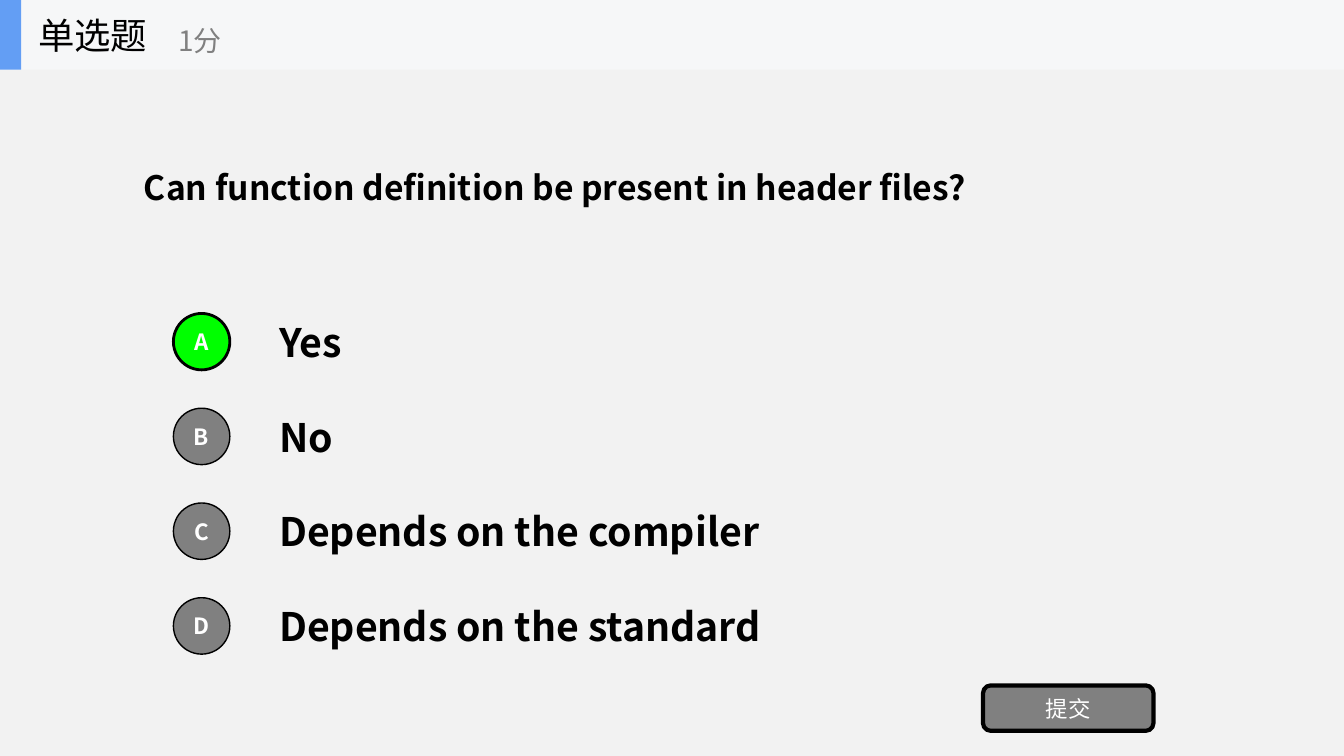
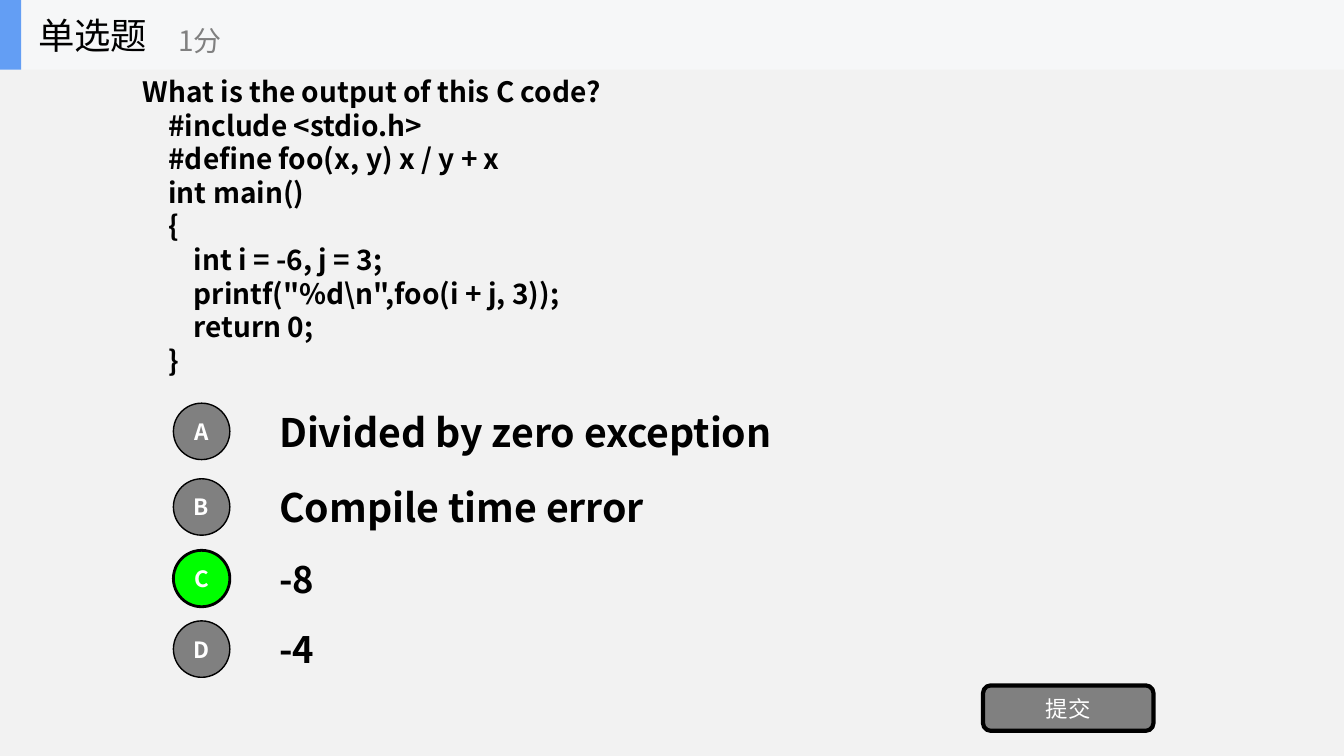
from pptx import Presentation
from pptx.dml.color import RGBColor
from pptx.enum.shapes import MSO_SHAPE as Shape
from pptx.enum.text import MSO_ANCHOR as Anchor, PP_ALIGN as Align
from pptx.oxml.ns import qn
from pptx.util import Inches, Pt
from lxml.etree import SubElement

FONT = "Noto Sans CJK SC"
BLACK, WHITE, GRAY, GREEN = "000000", "FFFFFF", "808080", "00FF00"
PAGE, BAND, ACCENT = "F2F2F2", "F6F7F8", "639EF4"
WIDTH, HEIGHT, BAND_HEIGHT = 13.33, 7.5, 0.69
ROW_HEIGHT, BADGE_SIZE = 0.7, 0.56


def color(hex_value):
    return RGBColor.from_string(hex_value)


class QuizDeck:
    def __init__(self):
        self.deck = Presentation()
        self.deck.slide_width = Inches(WIDTH)
        self.deck.slide_height = Inches(HEIGHT)
        self.slide = None

    def new_slide(self):
        self.slide = self.deck.slides.add_slide(self.deck.slide_layouts[6])
        background = self.slide.background.fill
        background.solid()
        background.fore_color.rgb = color(PAGE)

    def fill_text(self, frame, lines, hex_color, align=Align.LEFT, spacing=None, **formats):
        frame.word_wrap = True
        frame.vertical_anchor = Anchor.MIDDLE
        for index, line in enumerate(lines):
            paragraph = frame.add_paragraph() if index else frame.paragraphs[0]
            paragraph.alignment = align
            paragraph.line_spacing = spacing
            run = paragraph.add_run()
            run.text = line
            run.font.color.rgb = color(hex_color)
            for name, value in {"name": FONT, **formats}.items():
                setattr(run.font, name, value)
            SubElement(run.font._element, qn("a:ea"), typeface=FONT)

    def text(self, box, lines, hex_color=BLACK, parent=None, **formats):
        shapes = (parent or self.slide).shapes
        label = shapes.add_textbox(*map(Inches, box))
        self.fill_text(label.text_frame, lines, hex_color, **formats)

    def shape(self, kind, box, fill, line_width=0, parent=None):
        shapes = (parent or self.slide).shapes
        figure = shapes.add_shape(kind, *map(Inches, box))
        figure.shadow.inherit = False
        figure.fill.solid()
        figure.fill.fore_color.rgb = color(fill)
        if line_width:
            figure.line.color.rgb = color(BLACK)
            figure.line.width = Pt(line_width)
        else:
            figure.line.fill.background()
        return figure

    def button(self, kind, box, fill, line_width, caption, bold):
        frame = self.shape(kind, box, fill, line_width).text_frame
        for side in ("left", "top", "right", "bottom"):
            setattr(frame, f"margin_{side}", 0)
        self.fill_text(frame, [caption], WHITE, Align.CENTER, size=Pt(16), bold=bold)

    def header(self):
        header = self.slide.shapes.add_group_shape()
        for width, fill in ((WIDTH, BAND), (0.21, ACCENT)):
            self.shape(Shape.RECTANGLE, (0, 0, width, BAND_HEIGHT), fill, parent=header)
        self.text((0.28, 0, 2.08, BAND_HEIGHT), ["单选题"], parent=header, size=Pt(26))
        self.text((1.67, 0.12, 2.5, 0.56), ["1分"], GRAY, parent=header, size=Pt(20))

    def answer(self, letter, top, wording, size, correct):
        self.text((2.67, top, 9.33, ROW_HEIGHT), [wording], size=Pt(size), bold=True)
        badge_top = top + (ROW_HEIGHT - BADGE_SIZE) / 2
        fill, line_width = (GREEN, 2) if correct else (GRAY, 1)
        self.button(Shape.OVAL, (1.72, badge_top, BADGE_SIZE, BADGE_SIZE),
                    fill, line_width, letter, True)

    def question(self, lines, place, size, answers, tops, correct, spacing=None):
        self.new_slide()
        self.text((*place, 10.67, 2.34), lines, size=Pt(size), bold=True, spacing=spacing)
        for letter, top, (wording, answer_size) in zip("ABCD", tops, answers):
            self.answer(letter, top, wording, answer_size, letter == correct)
        self.button(Shape.ROUNDED_RECTANGLE, (9.75, 6.8, 1.69, 0.45), GRAY, 3, "提交", False)
        self.header()


CODE_QUESTION = r"""What is the output of this C code?
    #include <stdio.h>
    #define foo(x, y) x / y + x
    int main()
    {
        int i = -6, j = 3;
        printf("%d\n",foo(i + j, 3));
        return 0;
    }"""


def main():
    quiz = QuizDeck()
    quiz.question(
        ["Can function definition be present in header files?"], (1.33, 0.69), 24,
        [("Yes", 28), ("No", 28), ("Depends on the compiler", 28),
         ("Depends on the standard", 28)],
        [3.04 + 0.94 * row for row in range(4)], "A")
    quiz.question(
        CODE_QUESTION.splitlines(), (1.32, 1.07), 20,
        [("Divided by zero exception", 28), ("Compile time error", 28),
         ("-8", 26), ("-4", 26)],
        [3.93, 4.68, 5.39, 6.09], "C", spacing=Pt(24))
    quiz.deck.save("out.pptx")


if __name__ == "__main__":
    main()
